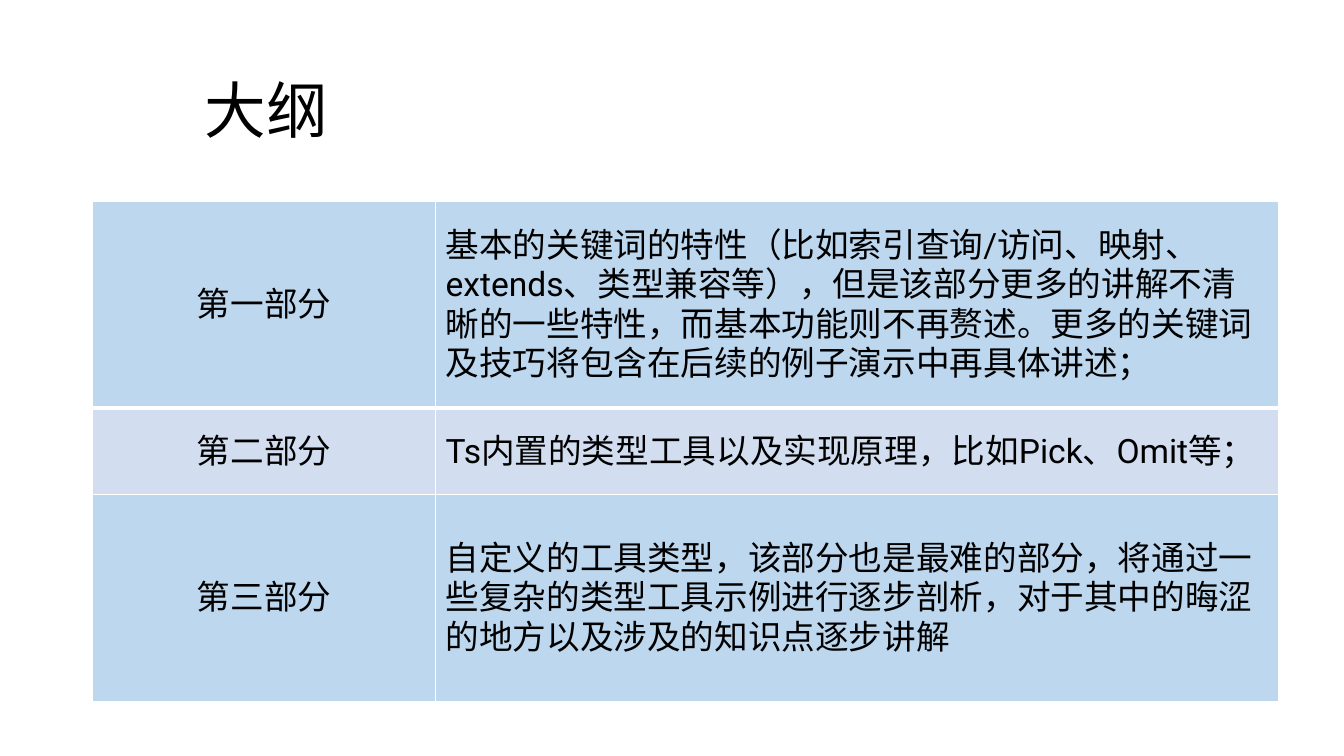
from lxml.etree import SubElement
from pptx import Presentation
from pptx.dml.color import RGBColor
from pptx.enum.text import MSO_ANCHOR, PP_ALIGN
from pptx.oxml.ns import qn
from pptx.util import Inches, Pt

COLORS = {
    "text": "000000",
    "border": "FFFFFF",
    "odd_row": "BDD7EE",
    "even_row": "D2DEEF",
}
FONT = "Roboto"
TITLE_FORMAT = {"name": FONT, "size": Pt(44)}
CELL_FORMAT = {"name": FONT, "size": Pt(24)}

COLUMN_WIDTHS = [3.4, 8.36]
ROW_HEIGHTS = [2.05, 0.86, 2.05]
OUTLINE = [
    ("第一部分", "基本的关键词的特性（比如索引查询/访问、映射、extends、类型兼容等），"
     "但是该部分更多的讲解不清晰的一些特性，而基本功能则不再赘述。"
     "更多的关键词及技巧将包含在后续的例子演示中再具体讲述；"),
    ("第二部分", "Ts内置的类型工具以及实现原理，比如Pick、Omit等；"),
    ("第三部分", "自定义的工具类型，该部分也是最难的部分，"
     "将通过一些复杂的类型工具示例进行逐步剖析，"
     "对于其中的晦涩的地方以及涉及的知识点逐步讲解"),
]


def write_text(frame, text, formats, alignment=PP_ALIGN.LEFT):
    """Write one formatted span into the first paragraph."""
    para = frame.paragraphs[0]
    para.alignment = alignment
    span = para.add_run()
    span.text = text
    for attribute, value in formats.items():
        setattr(span.font, attribute, value)
    span.font.color.rgb = RGBColor.from_string(COLORS["text"])
    # Chinese characters take their font from a:ea
    SubElement(span.font._element, qn("a:ea"), typeface=FONT)
    return para


def set_borders(cell, widths):
    """Draw the cell edges; call before the fill, which must follow them."""
    properties = cell._tc.get_or_add_tcPr()
    for side, width in widths.items():
        line = SubElement(properties, qn(f"a:ln{side}"), w=str(Pt(width)))
        fill = SubElement(line, qn("a:solidFill"))
        SubElement(fill, qn("a:srgbClr"), val=COLORS["border"])


def add_title(page, left, top, width, height):
    box = page.shapes.add_textbox(*map(Inches, (left, top, width, height)))
    frame = box.text_frame
    frame.word_wrap = True
    frame.vertical_anchor = MSO_ANCHOR.MIDDLE
    write_text(frame, "大纲", TITLE_FORMAT).line_spacing = 0.9


def add_outline_table(page, left, top):
    size = (sum(COLUMN_WIDTHS), sum(ROW_HEIGHTS))
    table = page.shapes.add_table(
        len(OUTLINE), len(COLUMN_WIDTHS), *map(Inches, (left, top, *size))
    ).table
    for column, width in zip(table.columns, COLUMN_WIDTHS):
        column.width = Inches(width)
    for row, height in zip(table.rows, ROW_HEIGHTS):
        row.height = Inches(height)

    alignments = [PP_ALIGN.CENTER, PP_ALIGN.LEFT]
    for row_index, texts in enumerate(OUTLINE):
        color = COLORS["even_row" if row_index % 2 else "odd_row"]
        # The line under the first row is thicker
        edges = {
            "L": 1,
            "R": 1,
            "T": 3 if row_index == 1 else 1,
            "B": 3 if row_index == 0 else 1,
        }
        for column_index, text in enumerate(texts):
            cell = table.cell(row_index, column_index)
            cell.vertical_anchor = MSO_ANCHOR.MIDDLE
            write_text(cell.text_frame, text, CELL_FORMAT, alignments[column_index])
            set_borders(cell, edges)
            cell.fill.solid()
            cell.fill.fore_color.rgb = RGBColor.from_string(color)


def main():
    deck = Presentation()
    deck.slide_width, deck.slide_height = Inches(13.33), Inches(7.5)
    page = deck.slides.add_slide(deck.slide_layouts[6])
    add_title(page, 1.93, 0.4, 2.84, 1.45)
    add_outline_table(page, 0.92, 2)
    deck.save("out.pptx")


if __name__ == "__main__":
    main()
